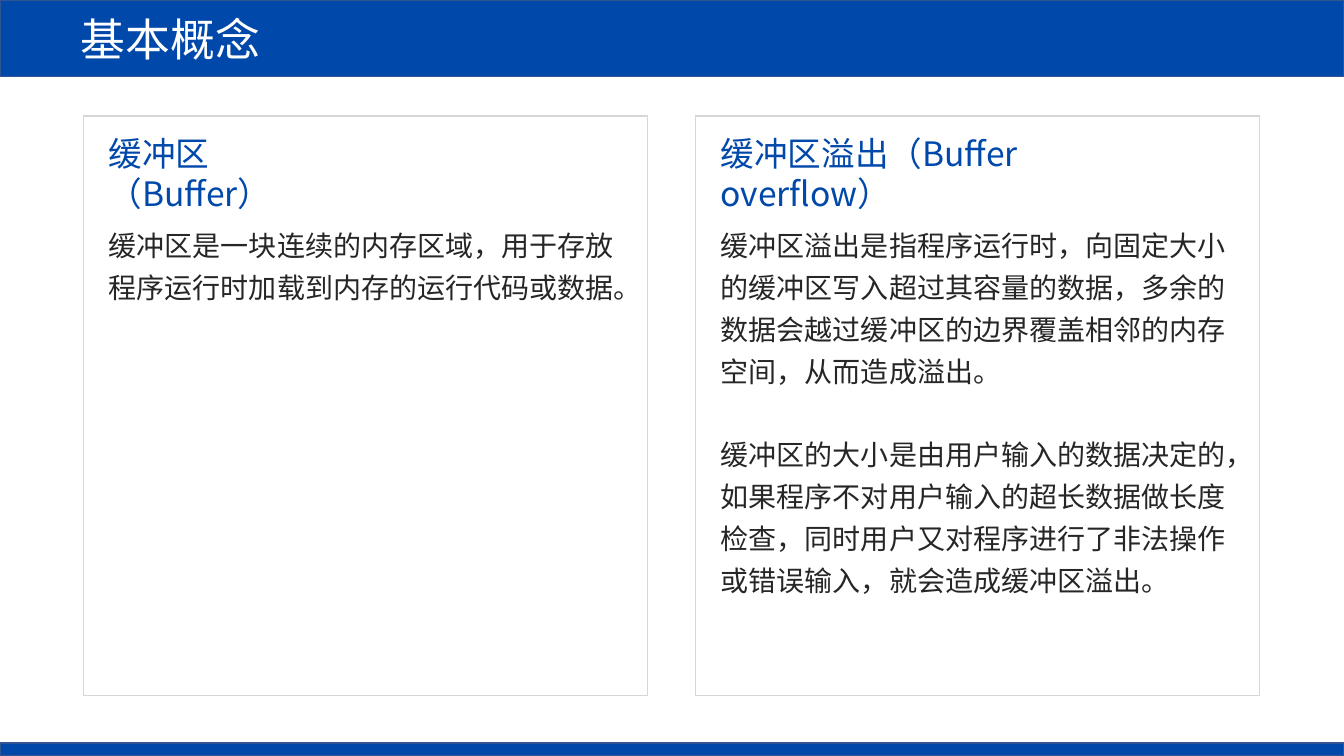
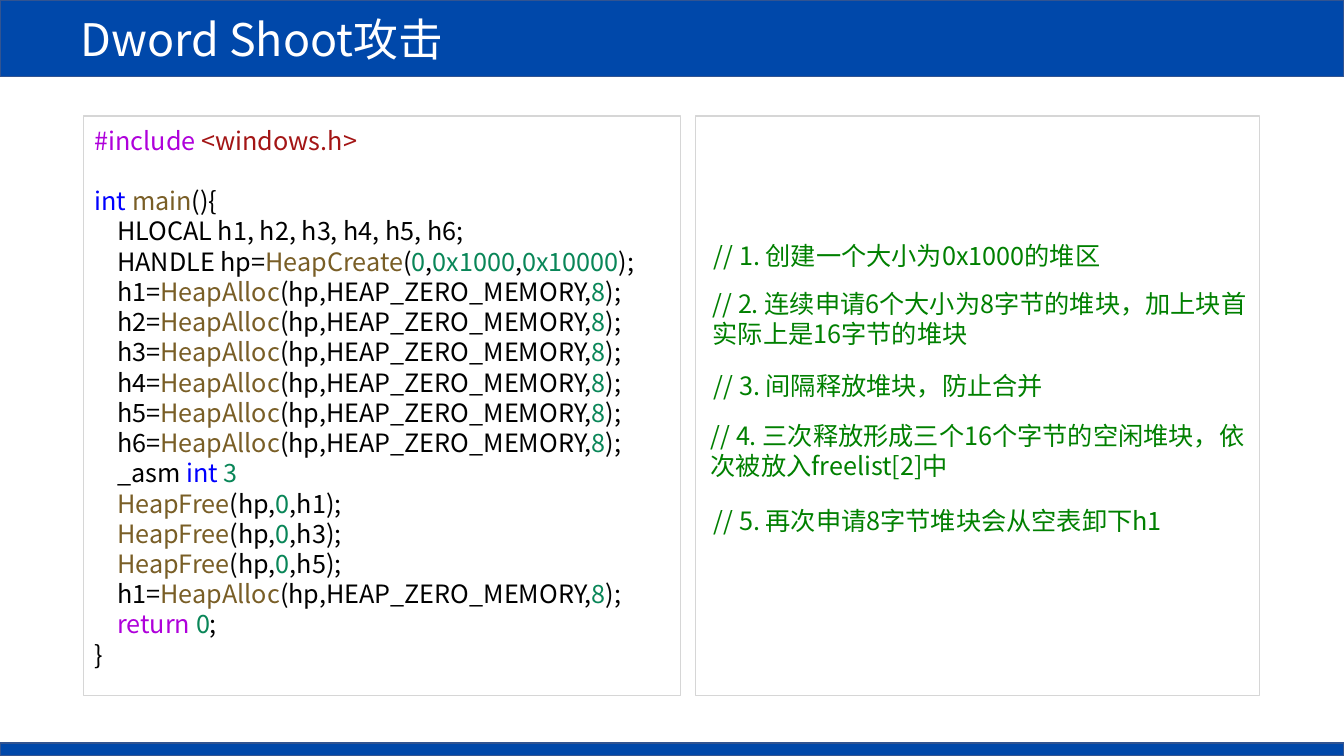
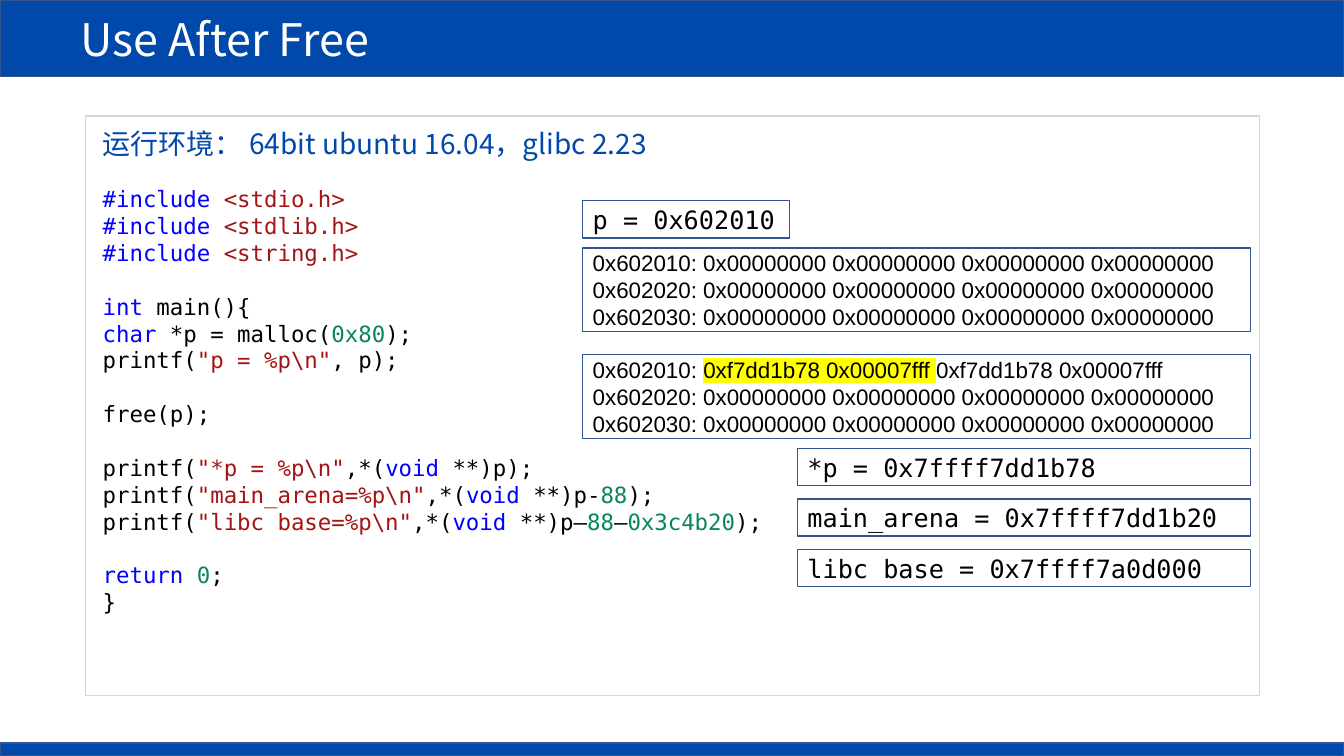
import pptx
import pptx.util
import pptx.dml.color
import pptx.enum.shapes
import pptx.enum.text
import pptx.oxml.ns
import lxml.etree

RGB = pptx.dml.color.RGBColor
Inches = pptx.util.Inches
Pt = pptx.util.Pt
ANCHOR = pptx.enum.text.MSO_ANCHOR

# Shared colours
BLUE = RGB(0x00, 0x48, 0xAA)
OUTLINE = RGB(0x32, 0x54, 0x91)
PANEL_EDGE = RGB(0xD6, 0xD6, 0xD6)
WHITE = RGB(0xFF, 0xFF, 0xFF)
BODY = RGB(0x26, 0x26, 0x26)
YELLOW = RGB(0xFF, 0xFF, 0x00)
# Code colours
BLACK = RGB(0x00, 0x00, 0x00)
PURPLE = RGB(0xAF, 0x00, 0xDB)
KEYWORD = RGB(0x00, 0x00, 0xFF)
STRING = RGB(0xA3, 0x15, 0x15)
FUNCTION = RGB(0x79, 0x5E, 0x26)
NUMBER = RGB(0x09, 0x86, 0x58)
COMMENT = RGB(0x00, 0x80, 0x00)

SANS, MONO, ARIAL = "Noto Sans CJK SC", "DejaVu Sans Mono", "Arial"

# Grid, in inches
WIDTH, HEIGHT = 13.33, 7.5
TITLE_H, FOOTER_H = 0.76, 0.13
LEFT, RIGHT, TOP, PANEL_H = 0.83, 12.49, 1.15, 5.75
COLUMN = 5.59
SECOND = RIGHT - COLUMN
LINE = 1.2  # line pitch as a share of the text size


def write(frame, paragraphs, *, size, font=SANS, color=BLACK, leading=1,
          anchor=ANCHOR.TOP, inset=0.1):
    """Paragraphs are strings or lists of runs; None leaves a line's gap.

    A run is a string or a tuple (text, colour[, highlight])."""
    frame.word_wrap = True
    frame.auto_size = pptx.enum.text.MSO_AUTO_SIZE.NONE
    frame.vertical_anchor = anchor
    frame.margin_left = Inches(inset)
    frame.margin_right = Inches(0.1)
    frame.margin_top = frame.margin_bottom = Inches(0.05)
    pitch = Pt(round(size * LINE * leading, 2))
    paragraph, gap = None, False
    for content in paragraphs:
        if content is None:
            gap = True
            continue
        paragraph = frame.add_paragraph() if paragraph else frame.paragraphs[0]
        paragraph.alignment = pptx.enum.text.PP_ALIGN.LEFT
        paragraph.line_spacing = pitch
        if gap:
            paragraph.space_before = pitch
        gap = False
        for part in [content] if isinstance(content, str) else content:
            text, *style = (part,) if isinstance(part, str) else part
            add_run(paragraph, text, size, font, *(style or [color]))


def add_run(paragraph, text, size, font, color, highlight=None):
    run = paragraph.add_run()
    run.text = text
    run.font.size = Pt(size)
    run.font.color.rgb = color
    run.font.name = font
    qn = pptx.oxml.ns.qn
    properties = run.font._element
    east_asian = lxml.etree.Element(qn("a:ea"), typeface=font)
    properties.find(qn("a:latin")).addnext(east_asian)
    if highlight is not None:
        mark = lxml.etree.Element(qn("a:highlight"))
        lxml.etree.SubElement(mark, qn("a:srgbClr"), val=str(highlight))
        properties.find(qn("a:solidFill")).addnext(mark)


def add_text(slide, x, y, w, h, paragraphs, **style):
    box = slide.shapes.add_textbox(Inches(x), Inches(y), Inches(w), Inches(h))
    write(box.text_frame, paragraphs, **style)


def add_box(slide, x, y, w, h, edge, fill=None):
    box = slide.shapes.add_shape(pptx.enum.shapes.MSO_SHAPE.RECTANGLE,
                                 Inches(x), Inches(y), Inches(w), Inches(h))
    box.shadow.inherit = False
    paint(box, edge, fill)
    return box


def paint(shape, edge, fill):
    if fill is None:
        shape.fill.background()
    else:
        shape.fill.solid()
        shape.fill.fore_color.rgb = fill
    shape.line.color.rgb = edge
    shape.line.width = Pt(1)


def add_panel(slide, x, w):
    add_box(slide, x, TOP, w, PANEL_H, PANEL_EDGE)


def add_output(slide, x, y, w, h, paragraphs, **style):
    box = add_box(slide, x, y, w, h, OUTLINE)
    write(box.text_frame, paragraphs, anchor=ANCHOR.MIDDLE, **style)


def add_slide(deck, heading):
    """Slide with the title band and the footer band."""
    slide = deck.slides.add_slide(deck.slide_layouts[5])
    title = slide.shapes.title
    title.left = title.top = 0
    title.width, title.height = Inches(WIDTH), Inches(TITLE_H)
    paint(title, OUTLINE, BLUE)
    write(title.text_frame, [heading], size=32, color=WHITE,
          anchor=ANCHOR.MIDDLE, inset=0.8)
    add_box(slide, 0, HEIGHT - FOOTER_H, WIDTH, FOOTER_H, OUTLINE, BLUE)
    return slide


def concepts(deck):
    slide = add_slide(deck, "基本概念")
    columns = [
        (LEFT, 2.4, "缓冲区（Buffer）",
         ["缓冲区是一块连续的内存区域，用于存放程序运行时加载到内存的运行代码或数据。"]),
        (SECOND, 4.5, "缓冲区溢出（Buffer overflow）",
         ["缓冲区溢出是指程序运行时，向固定大小的缓冲区写入超过其容量的数据，"
          "多余的数据会越过缓冲区的边界覆盖相邻的内存空间，从而造成溢出。",
          None,
          "缓冲区的大小是由用户输入的数据决定的，如果程序不对用户输入的超长数据做长度检查，"
          "同时用户又对程序进行了非法操作或错误输入，就会造成缓冲区溢出。"]),
    ]
    for x, term_width, term, meaning in columns:
        add_panel(slide, x, COLUMN)
        add_text(slide, x + 0.15, 1.27, term_width, 0.9, [term], size=24, color=BLUE)
        add_text(slide, x + 0.15, 2.13, 5.28, 4.28, meaning,
                 size=20, color=BODY, leading=1.25)


def heap_alloc(handle):
    return [f"    {handle}=", ("HeapAlloc", FUNCTION), "(hp,HEAP_ZERO_MEMORY,",
            ("8", NUMBER), ");"]


def heap_free(handle):
    return ["    ", ("HeapFree", FUNCTION), "(hp,", ("0", NUMBER), f",{handle});"]


def dword_shoot(deck):
    slide = add_slide(deck, "Dword Shoot攻击")
    # Program
    program = [
        [("#include ", PURPLE), ("<windows.h>", STRING)],
        None,
        [("int ", KEYWORD), ("main", FUNCTION), "(){"],
        "    HLOCAL h1, h2, h3, h4, h5, h6;",
        ["    HANDLE hp=", ("HeapCreate", FUNCTION), "(", ("0", NUMBER), ",",
         ("0x1000", NUMBER), ",", ("0x10000", NUMBER), ");"],
        *[heap_alloc(f"h{number}") for number in range(1, 7)],
        ["    _asm ", ("int ", KEYWORD), ("3", NUMBER)],
        *[heap_free(handle) for handle in ("h1", "h3", "h5")],
        heap_alloc("h1"),
        ["    ", ("return ", PURPLE), ("0", NUMBER), ";"],
        "}",
    ]
    add_panel(slide, LEFT, 5.92)
    add_text(slide, LEFT + 0.01, 1.19, 5.91, 5.55, program, size=18)

    # Steps
    add_panel(slide, SECOND, COLUMN)
    steps = [
        (6.98, 2.33, 4.72, "// 1. 创建一个大小为0x1000的堆区"),
        (6.97, 2.81, 5.5, "// 2. 连续申请6个大小为8字节的堆块，加上块首实际上是16字节的堆块"),
        (6.98, 3.62, 4.72, "// 3. 间隔释放堆块，防止合并"),
        (6.95, 4.12, 5.5, "// 4. 三次释放形成三个16个字节的空闲堆块，依次被放入freelist[2]中"),
        (6.98, 4.96, 4.72, "// 5. 再次申请8字节堆块会从空表卸下h1"),
    ]
    for x, y, w, step in steps:
        add_text(slide, x, y, w, 0.71, [step], size=18, color=COMMENT)


def include(header):
    return [("#include ", KEYWORD), (f"<{header}>", STRING)]


def print_pointer(label, *offset):
    return ["printf(", (f'"{label}%p\\n"', STRING), ",*(", ("void", KEYWORD),
            " **)p", *offset, ");"]


def use_after_free(deck):
    slide = add_slide(deck, "Use After Free")
    add_panel(slide, LEFT + 0.02, RIGHT - LEFT - 0.02)
    add_text(slide, 0.92, 1.21, 5.98, 0.44,
             ["运行环境： 64bit ubuntu 16.04，glibc 2.23"], size=20, color=BLUE)

    # Program
    program = [
        *[include(header) for header in ("stdio.h", "stdlib.h", "string.h")],
        None,
        [("int", KEYWORD), " main(){"],
        [("char", KEYWORD), " *p = malloc(", ("0x80", NUMBER), ");"],
        ["printf(", ('"p = %p\\n"', STRING), ", p);"],
        None,
        "free(p);",
        None,
        print_pointer("*p = "),
        print_pointer("main_arena=", "-", ("88", NUMBER)),
        print_pointer("libc base=", "–", ("88", NUMBER), "–", ("0x3c4b20", NUMBER)),
        None,
        [("return ", KEYWORD), ("0", NUMBER), ";"],
        "}",
    ]
    add_text(slide, 0.92, 1.79, 7.32, 4.41, program, size=16, font=MONO)

    # Memory before and after the block is freed
    zeros = " ".join(["0x00000000"] * 4)
    before = [f"0x6020{row}0: {zeros}" for row in (1, 2, 3)]
    after = [["0x602010: ", ("0xf7dd1b78 0x00007fff ", BLACK, YELLOW),
              "0xf7dd1b78 0x00007fff"], *before[1:]]
    for y, memory in ((2.46, before), (3.52, after)):
        add_output(slide, 5.78, y, 6.62, 0.83, memory, size=16, font=ARIAL)

    # Printed values
    printed = [
        (5.78, 1.99, 2.05, "p = 0x602010"),
        (7.91, 4.45, 4.49, "*p = 0x7ffff7dd1b78"),
        (7.91, 4.95, 4.49, "main_arena = 0x7ffff7dd1b20"),
        (7.91, 5.45, 4.49, "libc base = 0x7ffff7a0d000"),
    ]
    for x, y, w, value in printed:
        add_output(slide, x, y, w, 0.37, [value], size=18, font=MONO)


def main():
    deck = pptx.Presentation()
    deck.slide_width, deck.slide_height = Inches(WIDTH), Inches(HEIGHT)
    concepts(deck)
    dword_shoot(deck)
    use_after_free(deck)
    deck.save("out.pptx")


if __name__ == "__main__":
    main()
